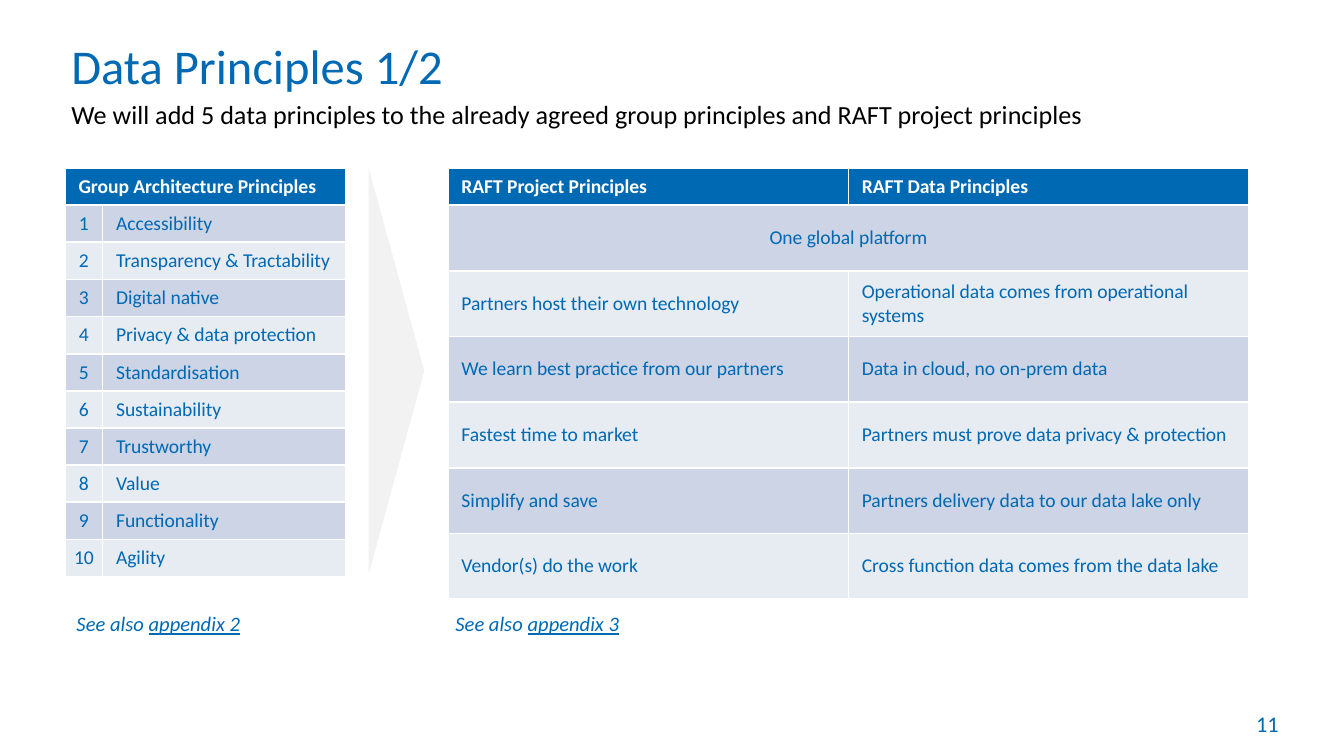
from pptx import Presentation
from pptx.dml.color import RGBColor
from pptx.enum.shapes import MSO_SHAPE as SHAPE
from pptx.enum.text import MSO_ANCHOR as ANCHOR, PP_ALIGN as ALIGN
from pptx.util import Pt

FONT = "Calibri"
BLUE = RGBColor(0x00, 0x69, 0xB4)
BAND_DARK = RGBColor(0xCC, 0xD4, 0xE5)
BAND_LIGHT = RGBColor(0xE7, 0xEB, 0xF2)
GREY = RGBColor(0xF2, 0xF2, 0xF2)
WHITE = RGBColor(0xFF, 0xFF, 0xFF)
BLACK = RGBColor(0x00, 0x00, 0x00)

# Content
TITLE = "Data Principles 1/2"
SUBTITLE = ("We will add 5 data principles to the already agreed group "
            "principles and RAFT project principles")
PAGE_NUMBER = "11"
GROUP_HEADER = "Group Architecture Principles"
GROUP_PRINCIPLES = [
    "Accessibility", "Transparency & Tractability", "Digital native",
    "Privacy & data protection", "Standardisation", "Sustainability",
    "Trustworthy", "Value", "Functionality", "Agility",
]
RAFT_HEADER = ("RAFT Project Principles", "RAFT Data Principles")
SHARED_PRINCIPLE = "One global platform"
RAFT_PRINCIPLES = [
    ("Partners host their own technology", "Operational data comes from operational systems"),
    ("We learn best practice from our partners", "Data in cloud, no on-prem data"),
    ("Fastest time to market", "Partners must prove data privacy & protection"),
    ("Simplify and save", "Partners delivery data to our data lake only"),
    ("Vendor(s) do the work", "Cross function data comes from the data lake"),
]
# Left edge and linked words of each reference
REFERENCES = [(41, "appendix 2"), (244, "appendix 3")]

# Layout in points
TEXT_LEFT, TEXT_W = 38.2, 644
TABLE_TOP = 90
GROUP_LEFT, GROUP_COLS = 34.9, (20.1, 130.3)
RAFT_LEFT, RAFT_COLS = 240, (214.5, 214.5)
HEADER_H, GROUP_ROW_H, RAFT_ROW_H = 19.9, 19.9, 35.2
REFERENCE_TOP = 324.7


def add_text(slide, box, parts, size, color, spacing=None, anchor=ANCHOR.TOP, wrap=True):
    sp = slide.shapes.add_textbox(*map(Pt, box))
    tf = sp.text_frame
    tf.word_wrap = wrap
    tf.vertical_anchor = anchor
    tf.margin_left = tf.margin_right = tf.margin_top = tf.margin_bottom = 0
    p = tf.paragraphs[0]
    p.line_spacing = spacing
    for part in parts:
        r = p.add_run()
        r.text = part
        r.font.name, r.font.size, r.font.color.rgb = FONT, Pt(size), color
    return p


def add_table(slide, left, cols, rows, row_h):
    """Rows hold the cell texts; None joins a cell to the one on its left."""
    heights = [HEADER_H] + [row_h] * (len(rows) - 1)
    table = slide.shapes.add_table(len(rows), len(cols), Pt(left), Pt(TABLE_TOP),
                                   Pt(sum(cols)), Pt(sum(heights))).table
    for col, width in zip(table.columns, cols):
        col.width = Pt(width)
    for i, (row, height) in enumerate(zip(rows, heights)):
        table.rows[i].height = Pt(height)
        for j, text in enumerate(row):
            cell = table.cell(i, j)
            cell.fill.solid()
            cell.fill.fore_color.rgb = BLUE if i == 0 else (BAND_DARK if i % 2 else BAND_LIGHT)
            if text is None:
                table.cell(i, j - 1).merge(cell)
                continue
            cell.vertical_anchor = ANCHOR.MIDDLE if i else ANCHOR.TOP
            cell.text_frame.text = text
            font = cell.text_frame.paragraphs[0].runs[0].font
            font.name, font.size, font.bold = FONT, Pt(10.5), i == 0
            font.color.rgb = BLUE if i else WHITE
    return table


prs = Presentation()
prs.slide_width, prs.slide_height = Pt(720), Pt(405)
s = prs.slides.add_slide(prs.slide_layouts[6])

# Headings and page number
add_text(s, (TEXT_LEFT, 20.2, TEXT_W, 30.2), [TITLE], 26, BLUE, Pt(29), ANCHOR.BOTTOM)
add_text(s, (TEXT_LEFT, 54, TEXT_W, 17.3), [SUBTITLE], 14, BLACK, Pt(15.3))
page = add_text(s, (651, 378, 34, 17.3), [PAGE_NUMBER], 12, BLUE, 0.9, ANCHOR.BOTTOM)
page.alignment = ALIGN.RIGHT

# RAFT principles, the first one shared by both columns
raft_rows = [RAFT_HEADER, (SHARED_PRINCIPLE, None)] + RAFT_PRINCIPLES
raft = add_table(s, RAFT_LEFT, RAFT_COLS, raft_rows, RAFT_ROW_H)
raft.cell(1, 0).text_frame.paragraphs[0].alignment = ALIGN.CENTER

# Numbered group principles
group_rows = [(GROUP_HEADER, None)]
group_rows += [(str(n), name) for n, name in enumerate(GROUP_PRINCIPLES, 1)]
group = add_table(s, GROUP_LEFT, GROUP_COLS, group_rows, GROUP_ROW_H)
for n in range(1, len(group_rows)):
    cell = group.cell(n, 0)
    cell.margin_left = cell.margin_right = Pt(3.6)
    cell.text_frame.paragraphs[0].alignment = ALIGN.CENTER

# Pointer from the group table to the RAFT table
pointer = s.shapes.add_shape(SHAPE.PENTAGON, Pt(197.5), Pt(TABLE_TOP), Pt(29.8), Pt(217.5))
pointer.adjustments[0] = 1
pointer.shadow.inherit = False
pointer.fill.solid()
pointer.fill.fore_color.rgb = GREY
pointer.line.fill.background()

# References below the tables
for left, target in REFERENCES:
    p = add_text(s, (left, REFERENCE_TOP, 88, 16), ["See also ", target], 11, BLUE,
                 Pt(16), wrap=False)
    for r in p.runs:
        r.font.italic = True
    p.runs[-1].font.underline = True

prs.save("out.pptx")
